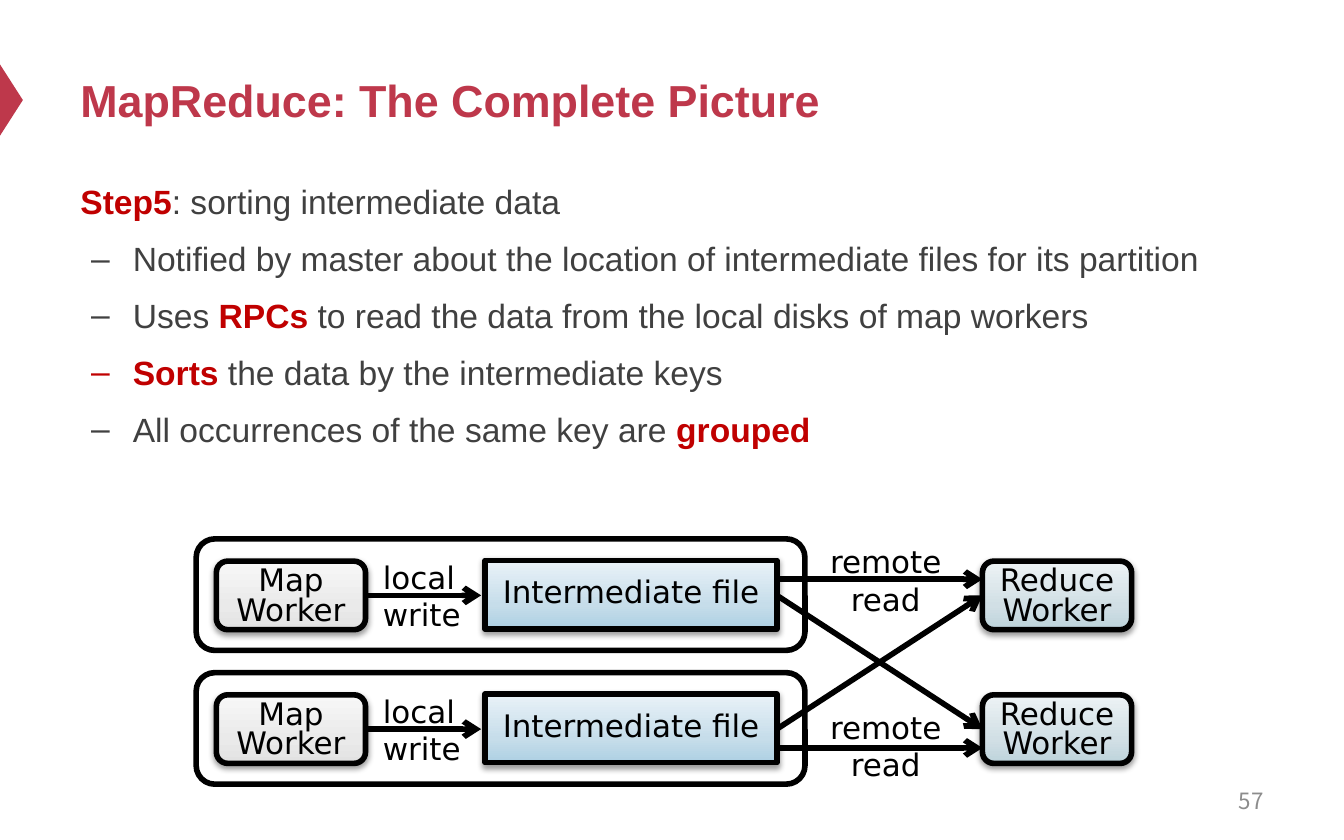
import copy
from typing import NamedTuple, Optional

import pptx
import pptx.dml.color
import pptx.enum.shapes
import pptx.enum.text
import pptx.oxml.ns
import pptx.util
from lxml import etree

Pt = pptx.util.Pt
SHAPE = pptx.enum.shapes.MSO_SHAPE
ALIGN = pptx.enum.text.PP_ALIGN
ANCHOR = pptx.enum.text.MSO_ANCHOR
qn = pptx.oxml.ns.qn

# The slide is a grid of 100 columns by 62.5 rows of square cells.
COLS, ROWS = 100, 62.5
CELL = pptx.util.Inches(0.1)
LANE_TOP, LANE_PITCH = 40.1, 9.95
ARROW_START, REDUCE_LEFT = 57.8, 73.1

COLORS = {
    "brand": "BE384B", "strong": "C00000", "body": "404040",
    "number": "8C8C8C", "ink": "000000",
}
GRADIENTS = {
    "file": ("ADD0E3", "C6DDEA", "E9F2F8"),
    "map": ("E2E2E2", "EAEAEA", "F7F7F7"),
    "reduce": ("BDD3DB", "D1DFE5", "EDF3F5"),
}
DIAGRAM_FONT = {"name": "DejaVu Sans", "size": Pt(16.6)}
BODY_FONT = {"name": "Arial", "size": Pt(18)}
TIGHT = {"margin_left": Pt(5.76), "margin_right": Pt(5.76),
         "margin_top": Pt(2.16), "margin_bottom": 0, "word_wrap": False}


class Box(NamedTuple):
    col: float
    row: float
    cols: float
    rows: float
    text: str = ""
    gradient: Optional[str] = None
    shape: int = SHAPE.ROUNDED_RECTANGLE
    frame: dict = {}


class Arrow(NamedTuple):
    col: float
    row: float
    to_col: float
    to_row: float


class Label(NamedTuple):
    col: float
    row: float
    cols: float
    text: str
    align: int


BULLETS = [
    [("Notified by master about the location of intermediate files for its partition", False)],
    [("Uses ", False), ("RPCs", True),
     (" to read the data from the local disks of map workers", False)],
    [("Sorts", True), (" the data by the intermediate keys", False)],
    [("All occurrences of the same key are ", False), ("grouped", True)],
]


def grid(*cells: float) -> list:
    return [int(c * CELL) for c in cells]


def rgb(hex_color: str):
    return pptx.dml.color.RGBColor.from_string(hex_color)


def apply(target, values: dict) -> None:
    for name, value in values.items():
        setattr(target, name, value)


def style_run(r, color: str, **font) -> None:
    apply(r.font, font)
    r.font.color.rgb = rgb(COLORS[color])


def add_text(s, cells: tuple, text: str, color: str, font: dict,
             para: dict, frame: dict):
    sp = s.shapes.add_textbox(*grid(*cells))
    apply(sp.text_frame, frame)
    write(sp.text_frame, text, color, font, para)
    return sp.text_frame


def write(tf, text: str, color: str, font: dict, para: dict) -> None:
    p = tf.paragraphs[0]
    p.text = text
    apply(p, para)
    for r in p.runs:
        style_run(r, color, **font)


def fill_gradient(sp, colors: tuple) -> None:
    """Fill from the bottom colour up through three stops."""
    sp.fill.gradient()
    sp.fill.gradient_angle = 90
    stops = sp.fill._fill._gradFill.find(qn("a:gsLst"))
    stops.insert(1, copy.deepcopy(stops[0]))
    for stop, position, color in zip(sp.fill.gradient_stops, (0, 0.35, 1), colors):
        stop.position = position
        stop.color.rgb = rgb(color)


def add_soft_shadow(sp) -> None:
    effects = sp._element.spPr.find(qn("a:effectLst"))
    shadow = etree.SubElement(effects, qn("a:outerShdw"), blurRad=str(Pt(3.1)),
                              dist=str(Pt(1.6)), dir="5400000", rotWithShape="0")
    color = etree.SubElement(shadow, qn("a:srgbClr"), val=COLORS["ink"])
    etree.SubElement(color, qn("a:alpha"), val="38000")


def draw_box(s, box: Box) -> None:
    sp = s.shapes.add_shape(box.shape, *grid(*box[:4]))
    sp.shadow.inherit = False
    sp.line.color.rgb = rgb(COLORS["ink"])
    sp.line.width = Pt(3)
    if not box.gradient:
        sp.fill.background()
        return
    fill_gradient(sp, GRADIENTS[box.gradient])
    add_soft_shadow(sp)
    apply(sp.text_frame, {"vertical_anchor": ANCHOR.MIDDLE, **box.frame})
    write(sp.text_frame, box.text, "ink", DIAGRAM_FONT,
          {"alignment": ALIGN.CENTER, "line_spacing": 0.8})


def draw_arrow(s, arrow: Arrow) -> None:
    cx = s.shapes.add_connector(pptx.enum.shapes.MSO_CONNECTOR.STRAIGHT, *grid(*arrow))
    cx.line.color.rgb = rgb(COLORS["ink"])
    cx.line.width = Pt(3)
    etree.SubElement(cx.line._get_or_add_ln(), qn("a:tailEnd"), type="arrow")
    etree.SubElement(cx._element.spPr, qn("a:effectLst"))


def draw_label(s, label: Label) -> None:
    add_text(s, (label.col, label.row, label.cols, 6.6), label.text, "ink",
             DIAGRAM_FONT, {"alignment": label.align}, {"word_wrap": False})


def draw_body(s) -> None:
    tf = add_text(s, (5, 12.4, 90, 24.7), "Step5", "strong", {**BODY_FONT, "bold": True},
                  {"line_spacing": 1.2}, {"word_wrap": True})
    r = tf.paragraphs[0].add_run()
    r.text = ": sorting intermediate data"
    style_run(r, "body", **BODY_FONT)
    for parts in BULLETS:
        p = tf.add_paragraph()
        apply(p, {"level": 1, "line_spacing": 1.2, "space_before": Pt(4.6)})
        pPr = p._p.get_or_add_pPr()
        pPr.set("marL", str(grid(3.9)[0]))
        pPr.set("indent", str(grid(-3.1)[0]))
        etree.SubElement(pPr, qn("a:buFont"), typeface="Arial")
        etree.SubElement(pPr, qn("a:buChar"), char="–")
        for text, strong in parts:
            r = p.add_run()
            r.text = text
            style_run(r, "strong" if strong else "body", bold=strong, **BODY_FONT)


def draw_lane(s, top: float) -> None:
    """Draw a map worker, its intermediate file and the reduce worker beside it."""
    draw_box(s, Box(36.1, top + 1.6, 21.7, 5.1, "Intermediate file", "file", SHAPE.RECTANGLE))
    draw_arrow(s, Arrow(26.8, top + 4.2, 35.8, top + 4.2))
    draw_box(s, Box(16.1, top + 1.65, 11.1, 5.1, "Map\vWorker", "map", frame=TIGHT))
    draw_box(s, Box(14.6, top, 45.3, 8.3))
    draw_box(s, Box(REDUCE_LEFT, top + 1.65, 11.1, 5.1, "Reduce\vWorker", "reduce", frame=TIGHT))
    draw_label(s, Label(27.5, top + 0.95, 7.9, "local\vwrite", ALIGN.LEFT))


def main() -> None:
    prs = pptx.Presentation()
    prs.slide_width, prs.slide_height = grid(COLS, ROWS)
    s = prs.slides.add_slide(prs.slide_layouts[6])

    marker = s.shapes.add_shape(SHAPE.ISOSCELES_TRIANGLE, *grid(-1.8, 6.6, 5.3, 1.7))
    marker.rotation = 90
    marker.shadow.inherit = False
    marker.fill.solid()
    marker.fill.fore_color.rgb = rgb(COLORS["brand"])
    marker.line.fill.background()

    middle = {"vertical_anchor": ANCHOR.MIDDLE, "word_wrap": True}
    add_text(s, (5, 2.5, 90, 9.8), "MapReduce: The Complete Picture", "brand",
             {"name": "Arial", "size": Pt(24), "bold": True}, {}, middle)
    draw_body(s)
    add_text(s, (71.7, 57.9, 23.3, 3.3), "57", "number",
             {"name": "Noto Sans CJK SC", "size": Pt(12)}, {"alignment": ALIGN.RIGHT}, middle)

    lanes = [LANE_TOP, LANE_TOP + LANE_PITCH]
    for top in lanes:
        draw_lane(s, top)
    upper, lower = (top + 4.2 for top in lanes)
    for start, end in ((upper - 1.2, upper - 1.2), (lower + 1.4, lower + 1.4),
                       (lower, upper), (upper, lower)):
        draw_arrow(s, Arrow(ARROW_START, start, REDUCE_LEFT, end))
    for row in (39.9, 52.2):
        draw_label(s, Label(60.7, row, 10.4, "remote\vread", ALIGN.CENTER))

    prs.save("out.pptx")


if __name__ == "__main__":
    main()
